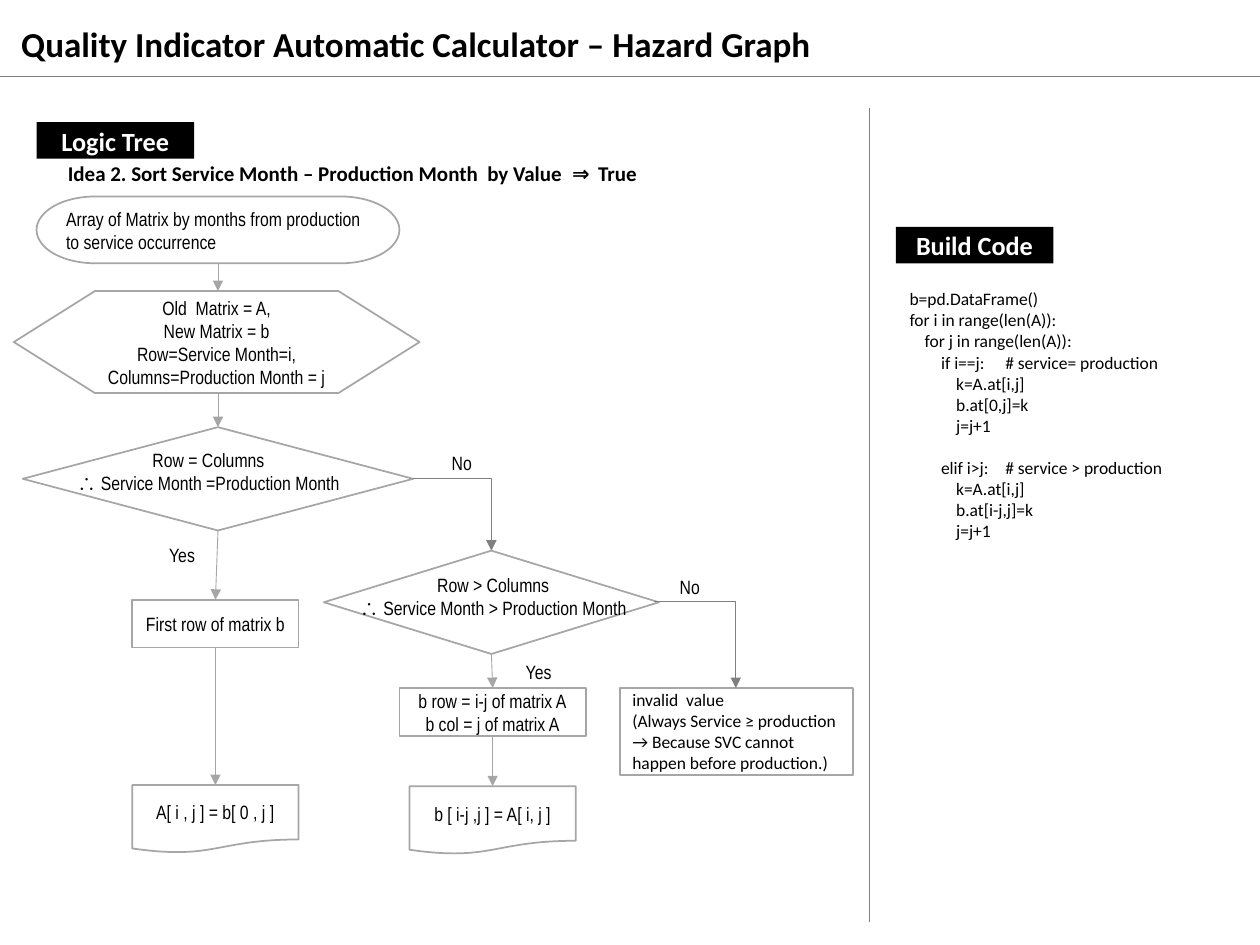
import pptx
import pptx.dml.color
import pptx.enum.shapes
import pptx.enum.text
import pptx.oxml
import pptx.oxml.ns
import pptx.util

PX = 9144  # EMU in one px, 100 px to the inch
BLACK = pptx.dml.color.RGBColor(0x00, 0x00, 0x00)
WHITE = pptx.dml.color.RGBColor(0xFF, 0xFF, 0xFF)
SILVER = pptx.dml.color.RGBColor(0xA6, 0xA6, 0xA6)
GRAY = pptx.dml.color.RGBColor(0x80, 0x80, 0x80)

SHAPE = pptx.enum.shapes.MSO_SHAPE
ANCHOR = pptx.enum.text.MSO_ANCHOR
LEFT = pptx.enum.text.PP_ALIGN.LEFT
CENTER = pptx.enum.text.PP_ALIGN.CENTER

FLOW = {"name": "Arial Narrow", "size": pptx.util.Pt(11), "bold": False}
CODE = {"name": "Calibri", "size": pptx.util.Pt(10), "bold": False}
IDEA = {"name": "Calibri", "size": pptx.util.Pt(12), "bold": True}
BADGE = {"name": "Calibri", "size": pptx.util.Pt(15), "bold": True}
TITLE = {"name": "Calibri", "size": pptx.util.Pt(20), "bold": True}

CODE_STOPS = (12, 25, 37, 76)  # three indent levels, then the comments


def set_values(target, values):
    for name, value in values.items():
        setattr(target, name, value)


def add_xml(parent, tag, **attributes):
    child = pptx.oxml.parse_xml(f"<a:{tag} {pptx.oxml.ns.nsdecls('a')}/>")
    for name, value in attributes.items():
        child.set(name, str(value))
    parent.append(child)
    return child


class FlowPage:
    def __init__(self, deck):
        self.page = deck.slides.add_slide(deck.slide_layouts[6])

    def put_lines(self, box, lines, font, align, color=BLACK, anchor=ANCHOR.MIDDLE):
        frame = box.text_frame
        set_values(frame, {"word_wrap": True, "vertical_anchor": anchor})
        if align == CENTER:
            set_values(frame, {"margin_left": 0, "margin_right": 0})
        for number, line in enumerate(lines):
            para = frame.add_paragraph() if number else frame.paragraphs[0]
            para.alignment = align
            span = para.add_run()
            span.text = line
            set_values(span.font, font)
            span.font.color.rgb = color

    def text(self, place, lines, font=FLOW, align=CENTER, anchor=ANCHOR.MIDDLE):
        box = self.page.shapes.add_textbox(*(PX * length for length in place))
        self.put_lines(box, lines, font, align, anchor=anchor)
        return box

    def outline(self, kind, place, lines=(), font=FLOW, align=CENTER):
        box = self.page.shapes.add_shape(kind, *(PX * length for length in place))
        box.shadow.inherit = False
        box.fill.background()
        box.line.color.rgb = SILVER
        box.line.width = pptx.util.Pt(1)
        self.put_lines(box, lines, font, align)

    def badge(self, left, top, label):
        box = self.page.shapes.add_shape(
            SHAPE.RECTANGLE, PX * left, PX * top, PX * 125, PX * 29)
        box.shadow.inherit = False
        box.fill.solid()
        box.fill.fore_color.rgb = BLACK
        box.line.fill.background()
        self.put_lines(box, [label], BADGE, CENTER, WHITE)

    def line(self, start, end, color=SILVER, arrow=True, preset="line"):
        link = self.page.shapes.add_connector(
            pptx.enum.shapes.MSO_CONNECTOR.STRAIGHT,
            *(PX * length for length in start + end))
        link.line.color.rgb = color
        link.line.width = pptx.util.Pt(0.5)
        properties = link._element.spPr
        properties.find(pptx.oxml.ns.qn("a:prstGeom")).set("prst", preset)
        if arrow:
            add_xml(properties.find(pptx.oxml.ns.qn("a:ln")), "tailEnd", type="triangle")
        add_xml(properties, "effectLst")

    def code(self, place, lines, gap_before):
        box = self.text(place, lines, CODE, LEFT, ANCHOR.TOP)
        for number, para in enumerate(box.text_frame.paragraphs):
            if number == gap_before:
                para.space_before = pptx.util.Pt(12)
            stops = add_xml(para._p.get_or_add_pPr(), "tabLst")
            for stop in CODE_STOPS:
                add_xml(stops, "tab", pos=PX * stop, algn="l")


def main():
    deck = pptx.Presentation()
    deck.slide_width, deck.slide_height = PX * 1000, PX * 750
    flow = FlowPage(deck)

    # Title and page rules
    flow.text((7, 10, 695, 49), ["Quality Indicator Automatic Calculator – Hazard Graph"],
              TITLE, LEFT)
    flow.line((0, 61), (1000, 61), GRAY, arrow=False)
    flow.line((690, 86), (690, 732), GRAY, arrow=False)

    # Section headings
    flow.badge(29, 97, "Logic Tree")
    flow.badge(711, 180, "Build Code")
    flow.text((44, 120, 475, 35),
              ["Idea 2. Sort Service Month – Production Month  by Value  ⇒  True"], IDEA, LEFT)

    # Flow chart steps
    flow.outline(SHAPE.FLOWCHART_TERMINATOR, (29, 156, 288, 53),
                 ["Array of Matrix by months from production to service occurrence"], align=LEFT)
    flow.outline(SHAPE.FLOWCHART_PREPARATION, (11, 231, 322, 81),
                 ["Old  Matrix = A,", "New Matrix = b", "Row=Service Month=i,",
                  "Columns=Production Month = j"])
    flow.outline(SHAPE.RECTANGLE, (105, 476, 132, 38), ["First row of matrix b"])
    flow.outline(SHAPE.RECTANGLE, (317, 546, 148, 38),
                 ["b row = i-j of matrix A", "b col = j of matrix A"])
    flow.outline(SHAPE.RECTANGLE, (492, 546, 185, 69),
                 ["invalid  value", "(Always Service ≥ production",
                  "→ Because SVC cannot happen before production.)"], CODE, LEFT)
    flow.outline(SHAPE.FLOWCHART_DOCUMENT, (105, 623, 132, 54), ["A[ i , j ] = b[ 0 , j ]"])
    flow.outline(SHAPE.FLOWCHART_DOCUMENT, (325, 624, 132, 54), ["b [ i-j ,j ] = A[ i, j ]"])

    # Decisions, whose wording is wider than the diamond allows
    for diamond, wording, lines in (
        ((18, 339, 310, 82), (39, 347, 253, 54),
         ["Row = Columns", "∴ Service Month =Production Month"]),
        ((257, 437, 266, 82), (265, 446, 253, 54),
         ["Row > Columns", "∴ Service Month > Production Month"]),
    ):
        flow.outline(SHAPE.FLOWCHART_DECISION, diamond)
        flow.text(wording, lines)

    # Arrows between steps
    for start, end in (
        ((173, 209), (173, 231)), ((173, 312), (173, 339)), ((173, 421), (171, 476)),
        ((171, 514), (171, 623)), ((390, 519), (391, 546)), ((391, 584), (391, 624)),
    ):
        flow.line(start, end)
    for start, end in (((328, 380), (390, 437)), ((519, 477), (584, 546))):
        flow.line(start, end, GRAY, preset="bentConnector2")

    # Branch labels
    for left, top, answer in (
        (116, 426, "Yes"), (338, 353, "No"), (399, 519, "Yes"), (519, 452, "No"),
    ):
        flow.text((left, top, 57, 28), [answer])

    # Code listing
    flow.code((712, 224, 251, 246), [
        "b=pd.DataFrame()",
        "for i in range(len(A)):",
        "\tfor j in range(len(A)):",
        "\t\tif i==j:\t# service= production",
        "\t\t\tk=A.at[i,j]",
        "\t\t\tb.at[0,j]=k",
        "\t\t\tj=j+1",
        "\t\telif i>j:\t# service > production",
        "\t\t\tk=A.at[i,j]",
        "\t\t\tb.at[i-j,j]=k",
        "\t\t\tj=j+1",
    ], gap_before=7)

    deck.save("out.pptx")


if __name__ == "__main__":
    main()
